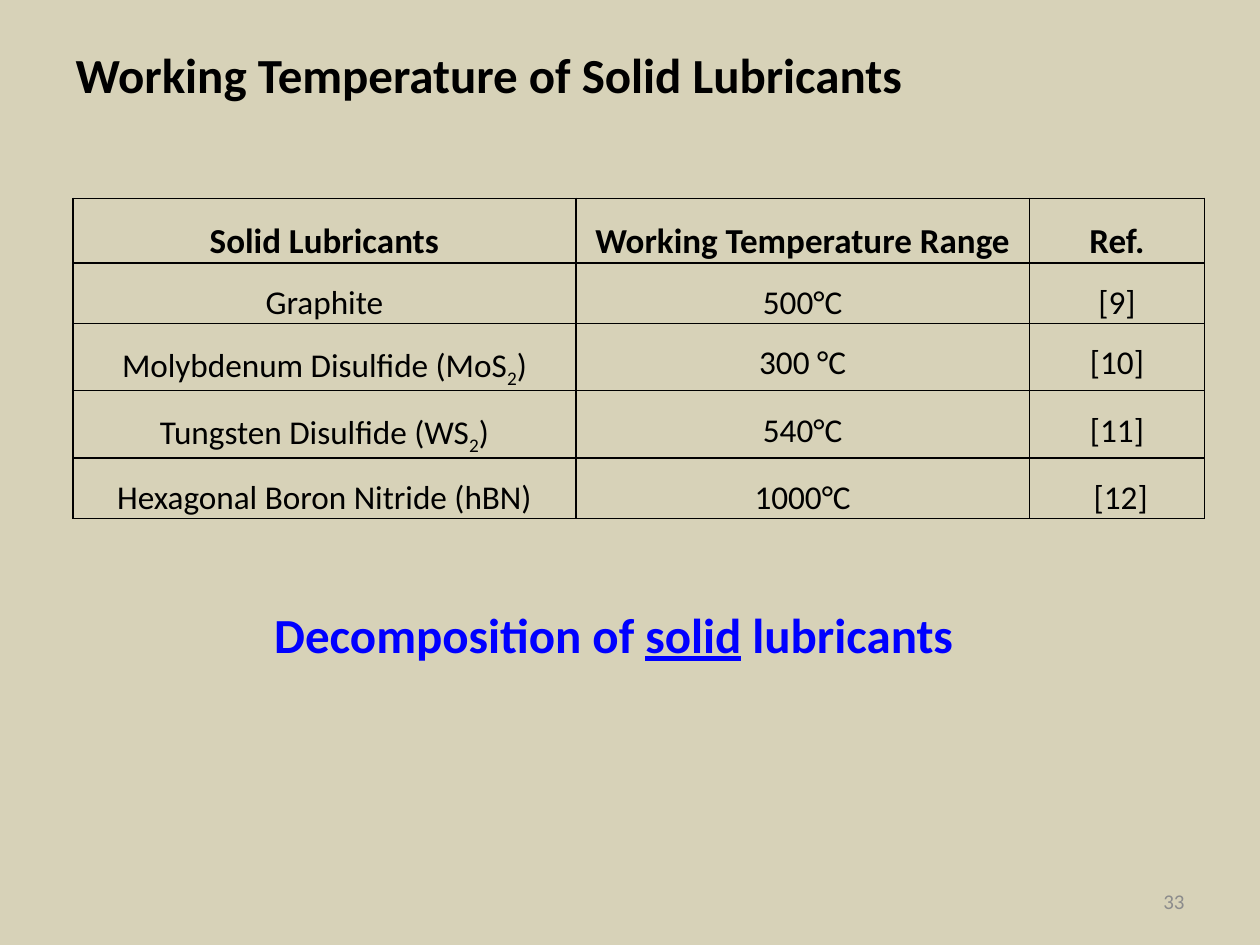
from lxml.etree import SubElement
from pptx import Presentation
from pptx.dml.color import RGBColor
from pptx.enum.text import MSO_ANCHOR as Anchor, MSO_AUTO_SIZE as AutoSize, PP_ALIGN as Align
from pptx.oxml.ns import qn
from pptx.util import Inches, Pt

BACKDROP = RGBColor(0xD7, 0xD2, 0xB8)
BLACK = RGBColor(0, 0, 0)
BLUE = RGBColor(0, 0, 0xFF)
GREY = RGBColor(0x8C, 0x8C, 0x8C)

HEADINGS = ["Solid Lubricants", "Working Temperature Range", "Ref."]
LUBRICANTS = [
    [["Graphite"], "500°C", "[9]"],
    [["Molybdenum Disulﬁde (MoS", "2", ")"], "300 °C", "[10]"],
    [["Tungsten Disulﬁde (WS", "2", ")"], "540°C", "[11]"],
    [["Hexagonal Boron Nitride (hBN)"], "1000°C", " [12]"],
]


class LubricantSlide:
    font_name = "Calibri"
    line_width = Pt(1)

    def __init__(self, deck):
        self.width, self.height = deck.slide_width, deck.slide_height
        self.slide = deck.slides.add_slide(deck.slide_layouts[5])
        backdrop = self.slide.background.fill
        backdrop.solid()
        backdrop.fore_color.rgb = BACKDROP

    def area(self, left, top, width, height):
        return (round(left * self.width), round(top * self.height),
                round(width * self.width), round(height * self.height))

    def run(self, paragraph, text, size, color=BLACK, bold=False, underline=None, subscript=False):
        run = paragraph.add_run()
        run.text = text
        font = run.font
        font.name, font.size, font.bold = self.font_name, Pt(size), bold
        font.underline = underline
        font.color.rgb = color
        if subscript:
            run._r.get_or_add_rPr().set("baseline", "-25000")

    def title(self, text, share):
        heading = self.slide.shapes.title
        heading.left, heading.top, heading.width, heading.height = self.area(*share)
        frame = heading.text_frame
        frame.auto_size, frame.vertical_anchor = AutoSize.NONE, Anchor.TOP
        frame.paragraphs[0].alignment = Align.LEFT
        self.run(frame.paragraphs[0], text, 28, bold=True)

    def text(self, share, align, anchor=Anchor.TOP):
        frame = self.slide.shapes.add_textbox(*self.area(*share)).text_frame
        frame.word_wrap = True
        frame.vertical_anchor = anchor
        frame.paragraphs[0].alignment = align
        return frame.paragraphs[0]

    def table(self, headings, rows, share, columns):
        grid = self.slide.shapes.add_table(
            len(rows) + 1, len(headings), *self.area(*share)).table
        grid.first_row = grid.horz_banding = False
        for column, width in zip(grid.columns, columns):
            column.width = round(width * self.width)
        for row, entries in enumerate([headings] + rows):
            for column, entry in enumerate(entries):
                parts = [entry] if isinstance(entry, str) else entry
                self.cell(grid.cell(row, column), parts, row == 0)

    def cell(self, cell, parts, is_heading):
        cell.margin_left = cell.margin_right = Inches(0.14)
        cell.margin_top = cell.margin_bottom = 0
        self.borders(cell)
        cell.fill.background()
        paragraph = cell.text_frame.paragraphs[0]
        paragraph.alignment = Align.CENTER
        paragraph.line_spacing = 1.5
        paragraph.space_after = Pt(12)
        for index, part in enumerate(parts):
            self.run(paragraph, part, 20 if is_heading else 19,
                     bold=is_heading, subscript=index == 1)

    def borders(self, cell):
        properties = cell._tc.get_or_add_tcPr()
        for side in ("a:lnL", "a:lnR", "a:lnT", "a:lnB"):
            line = SubElement(properties, qn(side), w=str(int(self.line_width)))
            fill = SubElement(line, qn("a:solidFill"))
            SubElement(fill, qn("a:srgbClr"), val=str(BLACK))


def main():
    deck = Presentation()
    deck.slide_width, deck.slide_height = Inches(10), Inches(7.5)
    page = LubricantSlide(deck)

    page.title("Working Temperature of Solid Lubricants", (0.05, 0.04, 0.9, 0.095))
    page.table(HEADINGS, LUBRICANTS, (0.058, 0.21, 0.898, 0.28), (0.399, 0.36, 0.139))

    conclusion = page.text((0.133, 0.633, 0.708, 0.076), Align.CENTER)
    for words, underline in (("Decomposition of ", False), ("solid", True), (" lubricants", False)):
        page.run(conclusion, words, 28, BLUE, bold=True, underline=underline)

    page_number = page.text((0.717, 0.927, 0.233, 0.053), Align.RIGHT, Anchor.MIDDLE)
    page.run(page_number, "33", 12, GREY)

    deck.save("out.pptx")


if __name__ == "__main__":
    main()
